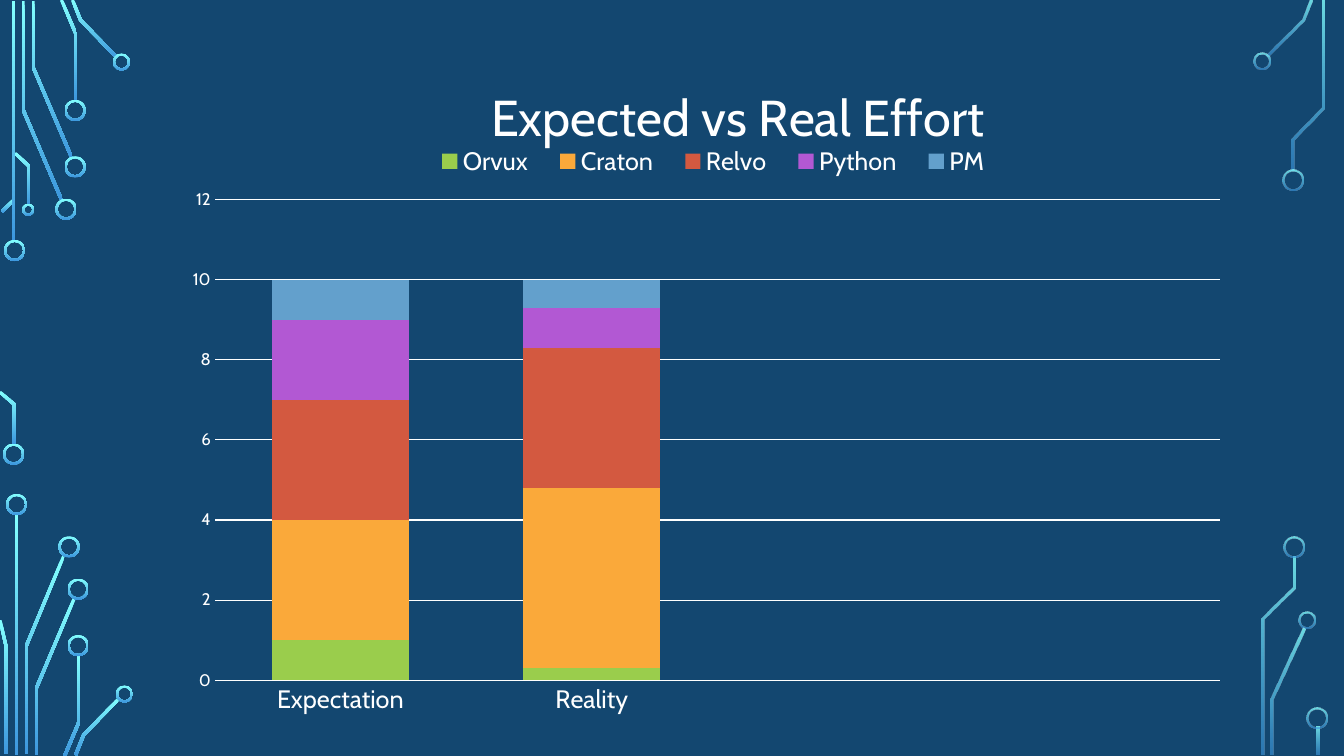
from dataclasses import dataclass
from math import hypot

from lxml import etree
from pptx import Presentation
from pptx.chart.data import CategoryChartData
from pptx.dml.color import RGBColor
from pptx.enum.chart import XL_CHART_TYPE, XL_LEGEND_POSITION, XL_TICK_MARK
from pptx.enum.shapes import MSO_SHAPE
from pptx.oxml.ns import qn
from pptx.util import Inches, Pt

STACKED = XL_CHART_TYPE.COLUMN_STACKED
LEGEND_BOTTOM = XL_LEGEND_POSITION.BOTTOM
NO_TICK = XL_TICK_MARK.NONE
RECTANGLE, DONUT = MSO_SHAPE.RECTANGLE, MSO_SHAPE.DONUT
BLANK_LAYOUT = 6


@dataclass(frozen=True)
class Theme:
    font: str = "Cabin"
    background: str = "134770"
    text: str = "FFFFFF"
    trace_top: str = "82FFFF"
    trace_bottom: str = "3D97DE"
    title_size: int = 36
    label_size: int = 18
    value_size: int = 12
    base_size: int = 10
    rule_width: float = 0.75
    trace_width: float = 0.03
    ring_wall: float = 0.02


SOLID = (100, 100)
FADED = (80, 60)

# Circuit traces: centre lines, straight stubs (left, top, height), rings (left, top, diameter)
LEFT_TRACES = [
    [(0.23, 0.01), (0.23, 1.09), (0.61, 1.98)],
    [(0.33, 0.01), (0.33, 0.67), (0.71, 1.56)],
    [(0.61, 0), (0.75, 0.33), (0.75, 1)],
    [(0.72, 0), (0.8, 0.2), (1.16, 0.57)],
    [(0.02, 2.1), (0.14, 1.98)],
    [(0, 3.89), (0.14, 4.01), (0.14, 4.41)],
    [(0.15, 1.52), (0.29, 1.65), (0.29, 2.03)],
    [(0.63, 5.52), (0.26, 6.41), (0.26, 7.48)],
    [(0, 6.15), (0.06, 6.41), (0.06, 7.48)],
    [(0.74, 5.93), (0.36, 6.83), (0.36, 7.49)],
    [(0.78, 6.5), (0.78, 7.17), (0.64, 7.5)],
    [(1.18, 6.93), (0.83, 7.29), (0.75, 7.49)],
]
LEFT_STUBS = [(0.12, 0.01, 2.39), (0.15, 5.1, 2.39)]
LEFT_RINGS = [
    (0.04, 2.38, 0.21), (0.03, 4.4, 0.21), (0.55, 1.97, 0.21), (0.64, 1.55, 0.21),
    (0.64, 0.99, 0.21), (1.12, 0.53, 0.17), (0.22, 2.02, 0.12), (0.06, 4.9, 0.21),
    (0.58, 5.32, 0.21), (0.67, 5.74, 0.21), (0.67, 6.3, 0.21), (1.15, 6.8, 0.17),
]
RIGHT_TRACES = [
    [(13, 0), (12.92, 0.2), (12.57, 0.55)],
    [(13.12, 0.01), (13.12, 1.07), (12.82, 1.38), (12.82, 1.69)],
    [(12.93, 6.23), (12.62, 6.94), (12.62, 7.49)],
    [(12.83, 5.52), (12.83, 5.83), (12.53, 6.14), (12.53, 7.49)],
]
RIGHT_STUBS = [(13.06, 7.21, 0.28)]
RIGHT_RINGS = [
    (12.43, 0.52, 0.17), (12.72, 1.68, 0.21), (12.88, 6.07, 0.17),
    (12.73, 5.32, 0.21), (12.96, 7.02, 0.21),
]

# Effort per skill; the last two chart positions are empty
PHASES = ["Expectation", "Reality", "", ""]
EFFORT = [
    ("Orvux", "9ACD4C", (1, 0.3)),
    ("Craton", "FAA93A", (3, 4.5)),
    ("Relvo", "D35940", (3, 3.5)),
    ("Python", "B258D3", (2, 1)),
    ("PM", "63A0CC", (1, 0.7)),
]
CHART_WIDTH, CHART_HEIGHT = 10.63, 6.61


def ribbon_outline(points, width):
    """Return the outline of a mitred band along a centre line."""
    normals = []
    for (x1, y1), (x2, y2) in zip(points, points[1:]):
        length = hypot(x2 - x1, y2 - y1)
        normals.append(((y1 - y2) / length, (x2 - x1) / length))
    before, after = normals[:1] + normals, normals + normals[-1:]
    one_side, other_side = [], []
    for (x, y), (ax, ay), (bx, by) in zip(points, before, after):
        reach = width / 2 / (1 + ax * bx + ay * by)
        dx, dy = (ax + bx) * reach, (ay + by) * reach
        one_side.append((x + dx, y + dy))
        other_side.append((x - dx, y - dy))
    return one_side + other_side[::-1]


def set_layout(parent, before, target=None, **inches):
    """Place a chart part, in inches from the corner of the chart."""
    for old in parent.findall(qn("c:layout")):
        parent.remove(old)
    layout = etree.Element(qn("c:layout"))
    manual = etree.SubElement(layout, qn("c:manualLayout"))
    settings = {"layoutTarget": target} if target else {}
    settings.update(xMode="edge", yMode="edge")
    for side, length in inches.items():
        settings[side] = length / (CHART_WIDTH if side in "xw" else CHART_HEIGHT)
    for name, value in settings.items():
        etree.SubElement(manual, qn(f"c:{name}")).set("val", str(value))
    parent.find(qn(before)).addprevious(layout)


class SlideBuilder:
    def __init__(self, slide, theme):
        self.slide, self.theme = slide, theme
        fill = slide.background.fill
        fill.solid()
        fill.fore_color.rgb = RGBColor.from_string(theme.background)

    def style_font(self, font, size):
        font.name, font.size, font.bold = self.theme.font, Pt(size), False
        font.color.rgb = RGBColor.from_string(self.theme.text)

    def style_rule(self, line):
        line.color.rgb = RGBColor.from_string(self.theme.text)
        line.width = Pt(self.theme.rule_width)

    def glow(self, shape, opacity):
        shape.shadow.inherit = False
        shape.line.fill.background()
        shape.fill.gradient()
        shape.fill.gradient_angle = 270
        colors = (self.theme.trace_top, self.theme.trace_bottom)
        for stop, color in zip(shape.fill.gradient_stops, colors):
            stop.color.rgb = RGBColor.from_string(color)
        for color, percent in zip(shape._element.iter(qn("a:srgbClr")), opacity):
            if percent < 100:
                etree.SubElement(color, qn("a:alpha")).set("val", str(percent * 1000))

    def trace(self, points, opacity):
        outline = [(Inches(x), Inches(y)) for x, y in ribbon_outline(points, self.theme.trace_width)]
        builder = self.slide.shapes.build_freeform(*outline[0])
        builder.add_line_segments(outline[1:], close=True)
        self.glow(builder.convert_to_shape(), opacity)

    def stub(self, left, top, height, opacity):
        bar = self.slide.shapes.add_shape(
            RECTANGLE, Inches(left), Inches(top), Inches(self.theme.trace_width), Inches(height))
        self.glow(bar, opacity)

    def ring(self, left, top, diameter, opacity):
        ring = self.slide.shapes.add_shape(
            DONUT, Inches(left), Inches(top), Inches(diameter), Inches(diameter))
        ring.adjustments[0] = self.theme.ring_wall / diameter
        self.glow(ring, opacity)

    def circuit(self, traces, stubs, rings, opacity):
        for points in traces:
            self.trace(points, opacity)
        for stub in stubs:
            self.stub(*stub, opacity)
        for ring in rings:
            self.ring(*ring, opacity)

    def effort_chart(self, title, left, top):
        data = CategoryChartData()
        data.categories = PHASES
        for skill, _, values in EFFORT:
            data.add_series(skill, values + (None, None))
        chart = self.slide.shapes.add_chart(
            STACKED, Inches(left), Inches(top), Inches(CHART_WIDTH), Inches(CHART_HEIGHT), data).chart
        self.style_font(chart.font, self.theme.base_size)

        # Columns
        plot = chart.plots[0]
        plot.gap_width, plot.overlap, plot.vary_by_categories = 84, 100, False
        for series, (_, color, _) in zip(plot.series, EFFORT):
            series.format.fill.solid()
            series.format.fill.fore_color.rgb = RGBColor.from_string(color)
        set_layout(chart._chartSpace.chart.plotArea, "c:barChart", "inner", x=0.38, y=1.36, w=9.97, h=4.77)

        # Axes
        phases, effort = chart.category_axis, chart.value_axis
        for axis, size in ((phases, self.theme.label_size), (effort, self.theme.value_size)):
            axis.major_tick_mark = axis.minor_tick_mark = NO_TICK
            self.style_font(axis.tick_labels.font, size)
        self.style_rule(phases.format.line)
        effort.format.line.fill.background()
        effort.minimum_scale, effort.maximum_scale, effort.major_unit = 0, 12, 2
        self.style_rule(effort.major_gridlines.format.line)

        # Title and legend
        chart.has_title = True
        heading = chart.chart_title.text_frame
        heading.text = title
        self.style_font(heading.paragraphs[0].font, self.theme.title_size)
        chart.chart_title.include_in_layout = False
        set_layout(chart.chart_title._element, "c:overlay", x=3.03, y=0.1)
        chart.has_legend = True
        chart.legend.position = LEGEND_BOTTOM
        chart.legend.include_in_layout = False
        self.style_font(chart.legend.font, self.theme.label_size)
        set_layout(chart.legend._element, "c:overlay", x=2.4, y=0.78, w=5.85, h=0.4)


def main():
    presentation = Presentation()
    presentation.slide_width, presentation.slide_height = Inches(13.33), Inches(7.5)
    slide = presentation.slides.add_slide(presentation.slide_layouts[BLANK_LAYOUT])
    builder = SlideBuilder(slide, Theme())
    builder.circuit(LEFT_TRACES, LEFT_STUBS, LEFT_RINGS, SOLID)
    builder.circuit(RIGHT_TRACES, RIGHT_STUBS, RIGHT_RINGS, FADED)
    builder.effort_chart("Expected vs Real Effort", 1.75, 0.62)
    presentation.save("out.pptx")


if __name__ == "__main__":
    main()
